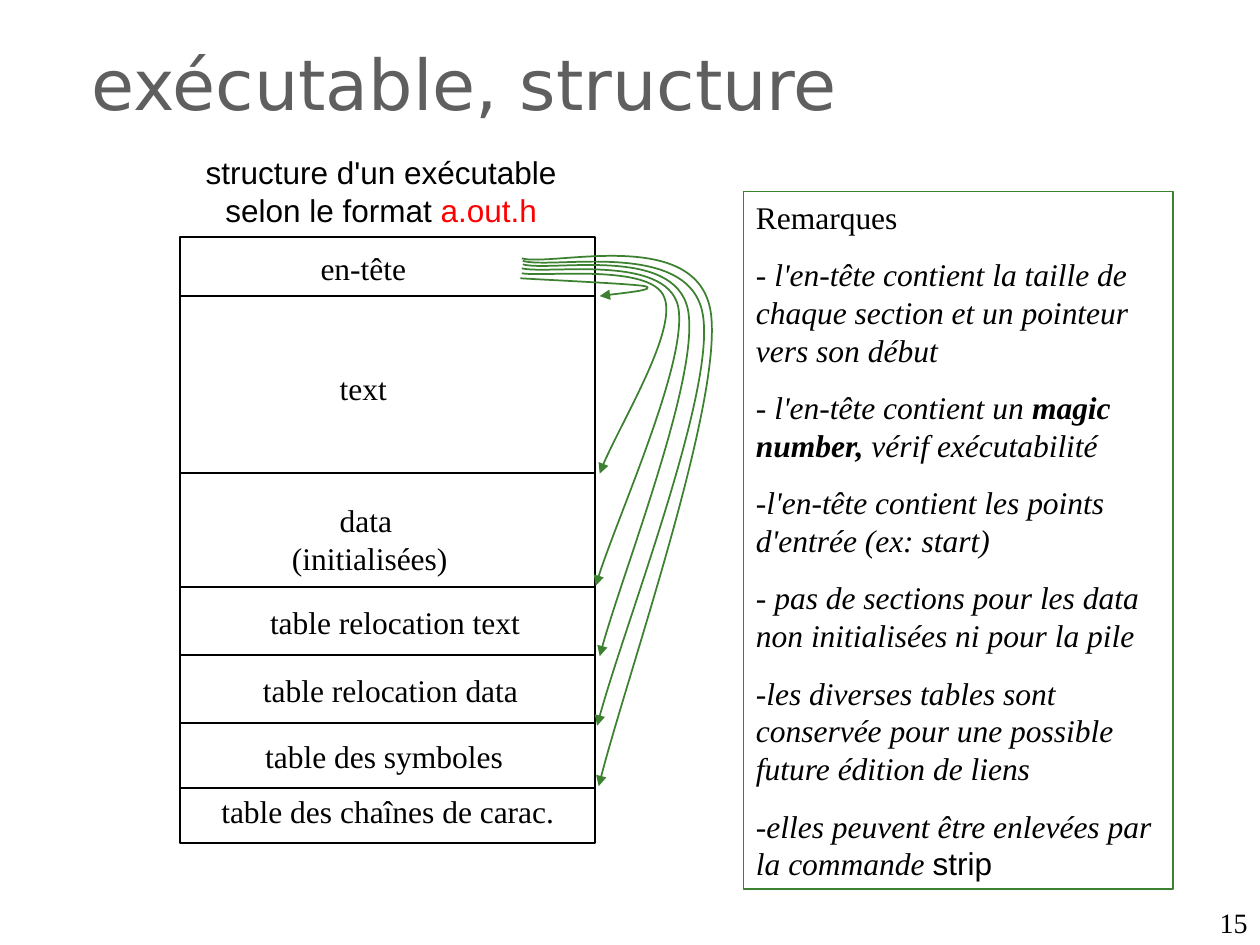
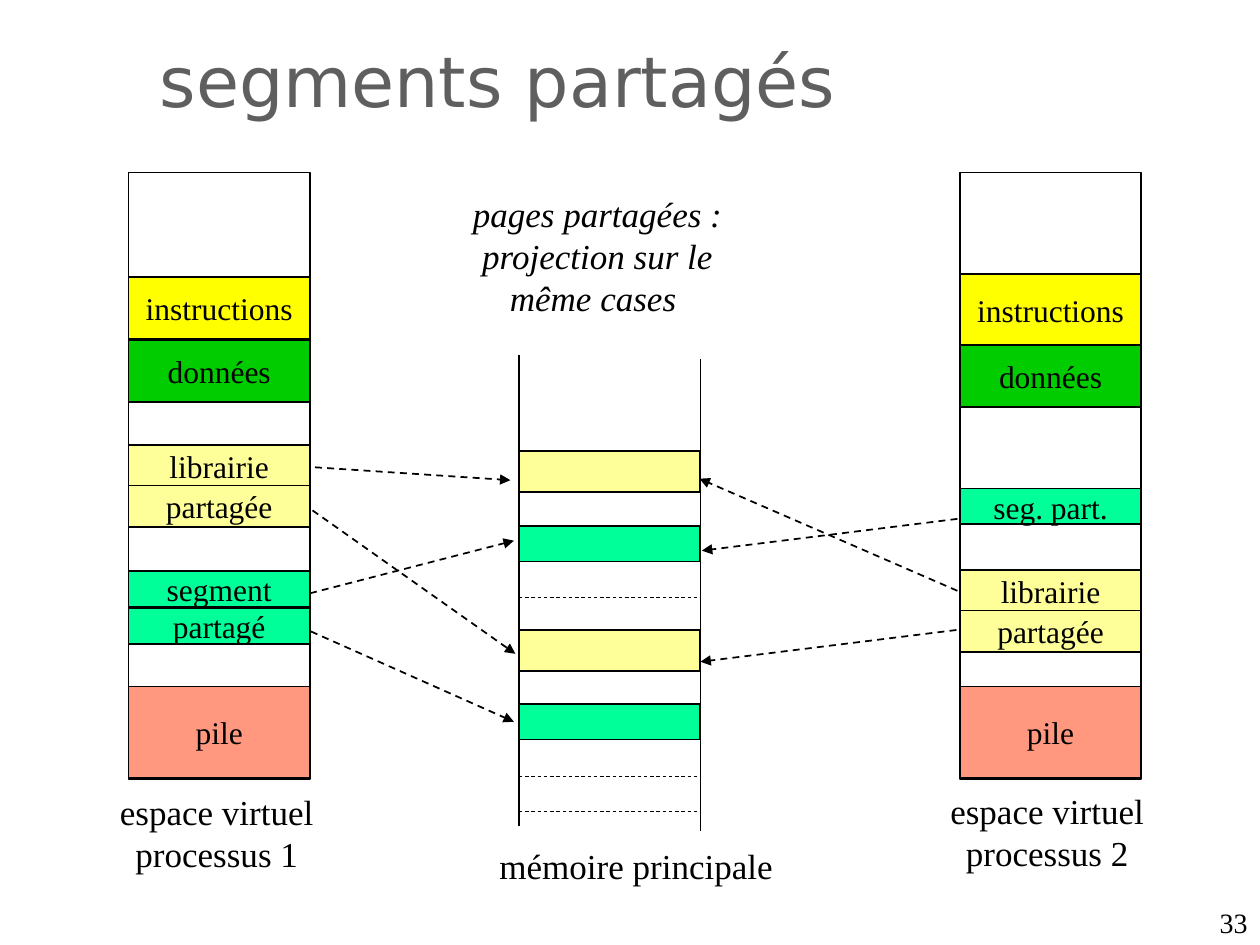
from lxml import etree
from pptx import Presentation
from pptx import util as u
from pptx.dml.color import RGBColor
from pptx.enum import dml, shapes, text
from pptx.oxml import ns

BLACK = RGBColor(0, 0, 0)
GREY = RGBColor(0x5F, 0x5F, 0x5F)
RED = RGBColor(0xFF, 0, 0)
LEAF = RGBColor(0x3B, 0x81, 0x2F)
YELLOW = RGBColor(0xFF, 0xFF, 0)
GREEN = RGBColor(0, 0xCC, 0)
CREAM = RGBColor(0xFF, 0xFF, 0x99)
MINT = RGBColor(0, 0xFF, 0x99)
CORAL = RGBColor(0xFF, 0x33, 0)
SERIF, SANS, HEAD = "Times New Roman", "Arial", "DejaVu Sans"
Cm, Pt = u.Cm, u.Pt
LEFT, MID, RIGHT = text.PP_ALIGN.LEFT, text.PP_ALIGN.CENTER, text.PP_ALIGN.RIGHT
TOP, CENTER, BOTTOM = text.MSO_ANCHOR.TOP, text.MSO_ANCHOR.MIDDLE, text.MSO_ANCHOR.BOTTOM
STRAIGHT, RECT = shapes.MSO_CONNECTOR.STRAIGHT, shapes.MSO_SHAPE.RECTANGLE


def stroke(item, color=BLACK, width=1, dash=False, arrow=False):
    """Style an outline, end it with an arrowhead if asked, drop the shadow."""
    item.line.color.rgb = color
    item.line.width = Pt(width)
    if dash:
        item.line.dash_style = dml.MSO_LINE.DASH
    props = item._element.spPr
    if arrow:
        etree.SubElement(props.find(ns.qn("a:ln")), ns.qn("a:tailEnd"), type="triangle")
    etree.SubElement(props, ns.qn("a:effectLst"))


def write(item, paras, size=18, font=SERIF, color=BLACK, align=MID,
          anchor=TOP, wrap=True, gap=0):
    """Fill a shape with paragraphs, each a list of (words, changes) runs."""
    frame = item.text_frame
    frame.word_wrap = wrap
    frame.vertical_anchor = anchor
    for n, runs in enumerate(paras):
        para = frame.add_paragraph() if n else frame.paragraphs[0]
        para.alignment = align
        if n and gap:
            para.space_before = Pt(gap)
        for words, changes in runs:
            run = para.add_run()
            run.text = words
            run.font.size = Pt(size)
            run.font.name = changes.get("font", font)
            run.font.color.rgb = changes.get("color", color)
            run.font.italic = changes.get("italic", False)
            run.font.bold = changes.get("bold", False)


deck = Presentation()
deck.slide_width, deck.slide_height = Cm(25.4), Cm(19.05)

# Titles and page numbers
pages = []
for title, number, spot in [
    ("exécutable, structure", "15", (1.6, 0.69, 15.88, 2.41)),
    ("segments partagés", "33", (2.97, 0.64, 15.7, 2.46)),
]:
    page = deck.slides.add_slide(deck.slide_layouts[6]).shapes
    write(page.add_textbox(*map(Cm, spot)), [[(title, {})]], 40, HEAD, GREY, LEFT)
    write(page.add_textbox(*map(Cm, (19.48, 18.14, 5.92, 0.91))), [[(number, {})]],
          16, align=RIGHT, anchor=BOTTOM)
    pages.append(page)
file, memo = pages

# Executable: frame and dividers
frame = file.add_shape(RECT, *map(Cm, (3.63, 4.78, 8.36, 12.22)))
frame.fill.background()
stroke(frame)
for y in (5.97, 9.53, 11.84, 13.21, 14.58, 15.88):
    stroke(file.add_connector(STRAIGHT, *map(Cm, (3.65, y, 12.01, y))))

# Executable: heading and section names
write(file.add_textbox(*map(Cm, (3.81, 2.97, 7.75, 1.78))),
      [[("structure d'un exécutable selon le format ", {}), ("a.out.h", {"color": RED})]],
      font=SANS)
for x, y, w, lines in [
    (4.52, 4.9, 5.61, ["en-tête"]),
    (4.52, 7.32, 5.61, ["text"]),
    (4.65, 9.98, 5.61, ["data ", "(initialisées)"]),
    (5.16, 12.04, 5.61, ["table relocation text"]),
    (4.7, 13.41, 6.35, ["table relocation data"]),
    (4.57, 14.73, 6.35, ["table des symboles"]),
    (3.96, 15.85, 7.72, ["table des chaînes de carac."]),
]:
    label = file.add_textbox(Cm(x), Cm(y), Cm(w), Cm(1.02 if len(lines) == 1 else 1.78))
    write(label, [[(line, {})] for line in lines])

# Pointers from the header: a start, then two Bezier arcs of three points
for start, *rest in [
    [(10.49, 5.61), (10.92, 5.64), (12.73, 5.72), (13, 5.77),
     (13.26, 5.84), (12.27, 5.94), (12.09, 5.97)],
    [(10.52, 5.51), (10.97, 5.59), (13.13, 5.31), (13.39, 5.99),
     (13.67, 6.65), (12.34, 8.81), (12.09, 9.55)],
    [(10.52, 5.41), (11.05, 5.54), (13.41, 5.11), (13.67, 6.17),
     (13.89, 7.24), (12.34, 10.64), (12.01, 11.81)],
    [(10.54, 5.33), (11.1, 5.49), (13.61, 4.93), (13.87, 6.25),
     (14.12, 7.57), (12.45, 11.79), (12.09, 13.23)],
    [(10.54, 5.26), (11.15, 5.44), (13.92, 4.8), (14.17, 6.35),
     (14.43, 7.9), (12.47, 12.9), (12.04, 14.63)],
    [(10.52, 5.21), (11.15, 5.38), (14.07, 4.55), (14.33, 6.3),
     (14.58, 8.08), (12.55, 13.87), (12.07, 15.85)],
]:
    pen = file.build_freeform(*map(Cm, start))
    pen.add_line_segments([(Cm(x), Cm(y)) for x, y in rest], close=False)
    curve = pen.convert_to_shape()
    legs = list(curve._element.iter(ns.qn("a:lnTo")))
    for n in (0, 3):
        arc = etree.SubElement(legs[0].getparent(), ns.qn("a:cubicBezTo"))
        for leg in legs[n:n + 3]:
            arc.append(leg[0])
    for leg in legs:
        leg.getparent().remove(leg)
    curve.fill.background()
    stroke(curve, LEAF, arrow=True)

# Remarks
note = file.add_shape(RECT, *map(Cm, (14.99, 3.86, 8.66, 14.07)))
note.fill.background()
stroke(note, LEAF)
ital = {"italic": True}
write(note, [
    [("Remarques", {})],
    [("- l'en-tête contient la taille de chaque section et un pointeur vers son début", ital)],
    [("- l'en-tête contient un ", ital),
     ("magic number, ", {"italic": True, "bold": True}),
     ("vérif exécutabilité", ital)],
    [("-l'en-tête contient les points d'entrée (ex: start)", ital)],
    [("- pas de sections pour les data non initialisées ni pour la pile", ital)],
    [("-les diverses tables sont conservée pour une possible future édition de liens", ital)],
    [("-elles peuvent être enlevées par la commande ", ital), ("strip", {"font": SANS})],
], align=LEFT, gap=11.2)

# Memory: lines of the main memory, dashed between cases
ONE, RAM, TWO, WIDE = 2.59, 10.46, 19.35, 3.66
for y in (12.04, 15.65, 16.36):
    stroke(memo.add_connector(STRAIGHT, *map(Cm, (RAM, y, RAM + WIDE, y))), width=0.5, dash=True)
for x, y, end in [(RAM, 7.16, 16.66), (RAM + WIDE, 7.24, 16.76)]:
    stroke(memo.add_connector(STRAIGHT, *map(Cm, (x, y, x, end))))

# Virtual spaces and shared cases
for x, y, h, fill, name in [
    (ONE, 3.48, 12.22, None, ""),
    (ONE, 5.59, 1.25, YELLOW, "instructions"),
    (ONE, 6.86, 1.25, GREEN, "données"),
    (ONE, 8.97, 0.83, CREAM, "librairie"),
    (ONE, 9.79, 0.83, CREAM, "partagée"),
    (ONE, 11.51, 0.72, MINT, "segment"),
    (ONE, 12.26, 0.72, MINT, "partagé"),
    (ONE, 13.84, 1.85, CORAL, "pile"),
    (TWO, 3.48, 12.22, None, ""),
    (TWO, 5.53, 1.43, YELLOW, "instructions"),
    (TWO, 6.96, 1.25, GREEN, "données"),
    (TWO, 9.85, 0.72, MINT, "seg. part."),
    (TWO, 11.49, 0.83, CREAM, "librairie"),
    (TWO, 12.31, 0.83, CREAM, "partagée"),
    (TWO, 13.84, 1.85, CORAL, "pile"),
    (RAM, 9.09, 0.83, CREAM, ""),
    (RAM, 10.6, 0.72, MINT, ""),
    (RAM, 12.7, 0.83, CREAM, ""),
    (RAM, 14.19, 0.72, MINT, ""),
]:
    block = memo.add_shape(RECT, Cm(x), Cm(y), Cm(WIDE), Cm(h))
    if fill is None:
        block.fill.background()
    else:
        block.fill.solid()
        block.fill.fore_color.rgb = fill
    if fill == CORAL:
        tint = block._element.spPr.find(".//" + ns.qn("a:srgbClr"))
        etree.SubElement(tint, ns.qn("a:alpha"), val="50000")
    stroke(block)
    if name:
        write(block, [[(name, {})]], anchor=CENTER, wrap=False)

# Arrows from each space to the main memory
for ends in [
    (6.35, 9.42, 10.29, 9.68),
    (6.3, 10.29, 10.39, 13.18),
    (6.25, 11.96, 10.36, 10.9),
    (6.27, 12.73, 10.36, 14.55),
    (19.3, 10.46, 14.15, 11.1),
    (19.28, 12.7, 14.12, 13.34),
    (19.3, 11.91, 14.1, 9.65),
]:
    stroke(memo.add_connector(STRAIGHT, *map(Cm, ends)), dash=True, arrow=True)

# Captions
for spot, words, style in [
    ((1.6, 15.82, 5.54, 1.96), "espace virtuel processus 1", {}),
    ((18.34, 15.8, 5.54, 1.96), "espace virtuel processus 2", {}),
    ((9.75, 16.89, 6.15, 1.12), "mémoire principale ", {}),
    ((8.97, 3.76, 6.15, 2.79), "pages partagées : projection sur le même cases ", ital),
]:
    write(memo.add_textbox(*map(Cm, spot)), [[(words, style)]], 20)

deck.save("out.pptx")
